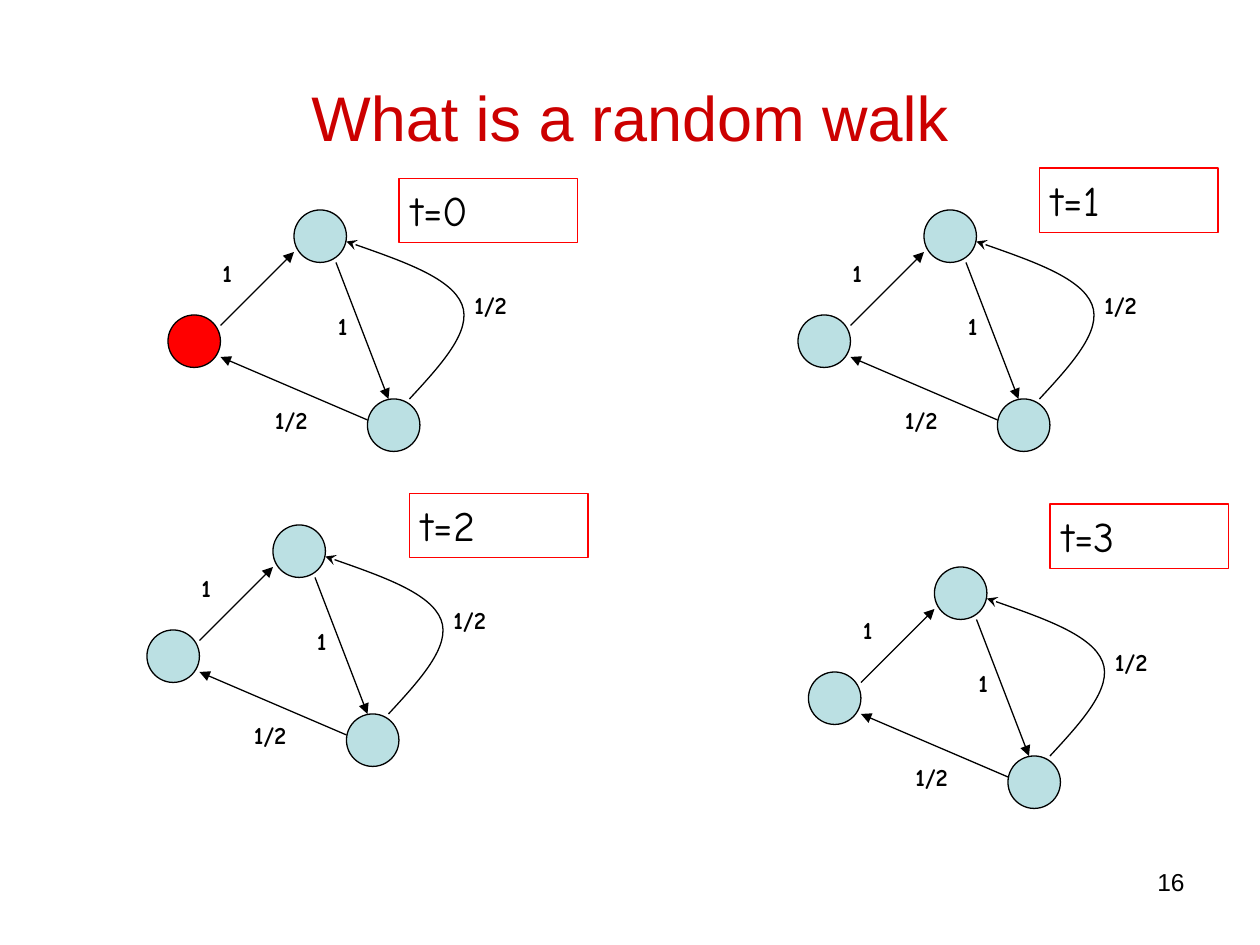
from typing import NamedTuple

from pptx import Presentation
from pptx.dml.color import RGBColor
from pptx.enum.shapes import MSO_CONNECTOR, MSO_SHAPE
from pptx.enum.text import MSO_ANCHOR, MSO_AUTO_SIZE, PP_ALIGN
from pptx.oxml.ns import qn
from pptx.oxml.xmlchemy import OxmlElement
from pptx.util import Pt

STRAIGHT = MSO_CONNECTOR.STRAIGHT
OVAL, RECT = MSO_SHAPE.OVAL, MSO_SHAPE.RECTANGLE
TOP, MIDDLE = MSO_ANCHOR.TOP, MSO_ANCHOR.MIDDLE
GROW = MSO_AUTO_SIZE.SHAPE_TO_FIT_TEXT
LEFT, CENTER, RIGHT = PP_ALIGN.LEFT, PP_ALIGN.CENTER, PP_ALIGN.RIGHT

COLORS = {
    "black": "000000",
    "title": "CC0000",
    "red": "FF0000",
    "node": "BBE0E3",
}
SANS, COMIC = "Arial", "Comic Neue"
LINE_WIDTH = 0.75
NODE_SIZE = 30


class Label(NamedTuple):
    text: str
    x: float
    y: float
    width: float


class Step(NamedTuple):
    caption: str
    graph: tuple[float, float]
    box: tuple[float, float]
    visited: int | None = None


NODES = [(0, 60), (72, 0), (114, 108)]
EDGES = [
    ((30, 66), (72, 24)),
    ((96, 30), (126, 108)),
    ((114, 120), (30, 84)),
]
CURVE = [(138, 108), (156, 88.5), (174, 69), (168, 54), (162, 39), (132, 28.5), (102, 18)]
LABELS = [
    Label("1", 24, 24, 30),
    Label("1/2", 54, 108, 48),
    Label("1/2", 168, 42, 48),
    Label("1", 90, 54, 30),
]
STEPS = [
    Step("t=0", (96, 120), (228, 102), visited=0),
    Step("t=1", (456, 120), (594, 96)),
    Step("t=2", (84, 300), (234, 282)),
    Step("t=3", (462, 324), (600, 288)),
]


def rgb(name: str) -> RGBColor:
    return RGBColor.from_string(COLORS[name])


def set_text(shape, text: str, size: float, font: str, color: str = "black",
             align=LEFT, anchor=TOP, bold: bool = False) -> None:
    tf = shape.text_frame
    tf.word_wrap = True
    tf.vertical_anchor = anchor
    p = tf.paragraphs[0]
    p.text = text
    p.alignment = align
    p.font.size = Pt(size)
    p.font.name = font
    p.font.bold = bold
    p.font.color.rgb = rgb(color)


def set_line(shape, color: str = "black", arrow: str | None = None) -> None:
    shape.line.color.rgb = rgb(color)
    shape.line.width = Pt(LINE_WIDTH)
    if arrow:
        tail = OxmlElement("a:tailEnd")
        tail.set("type", arrow)
        shape.element.spPr.find(qn("a:ln")).append(tail)


def add_node(shapes, x: float, y: float, color: str) -> None:
    sp = shapes.add_shape(OVAL, Pt(x), Pt(y), Pt(NODE_SIZE), Pt(NODE_SIZE))
    sp.shadow.inherit = False
    sp.fill.solid()
    sp.fill.fore_color.rgb = rgb(color)
    set_line(sp)


def add_edge(shapes, x1: float, y1: float, x2: float, y2: float) -> None:
    cxn = shapes.add_connector(STRAIGHT, Pt(x1), Pt(y1), Pt(x2), Pt(y2))
    set_line(cxn, arrow="triangle")
    cxn.element.spPr.append(OxmlElement("a:effectLst"))


def add_curve(shapes, points: list[tuple[float, float]]) -> None:
    start, *rest = [(Pt(x), Pt(y)) for x, y in points]
    builder = shapes.build_freeform(*start)
    builder.add_line_segments(rest, close=False)
    sp = builder.convert_to_shape()
    sp.shadow.inherit = False
    sp.fill.background()
    set_line(sp, arrow="stealth")
    outline = sp.element.spPr.find(".//" + qn("a:path"))
    segments = outline.findall(qn("a:lnTo"))
    for i in range(0, len(segments), 3):
        bezier = OxmlElement("a:cubicBezTo")
        for segment in segments[i:i + 3]:
            bezier.append(segment[0])
            outline.remove(segment)
        outline.append(bezier)


def add_label(shapes, label: Label, dx: float, dy: float) -> None:
    tb = shapes.add_textbox(Pt(label.x + dx), Pt(label.y + dy), Pt(label.width), Pt(24))
    set_text(tb, label.text, 14, COMIC, bold=True)
    tb.text_frame.auto_size = GROW


def add_graph(s, step: Step) -> None:
    shapes = s.shapes.add_group_shape().shapes
    dx, dy = step.graph
    for i, (x, y) in enumerate(NODES):
        add_node(shapes, x + dx, y + dy, "red" if i == step.visited else "node")
    for (x1, y1), (x2, y2) in EDGES:
        add_edge(shapes, x1 + dx, y1 + dy, x2 + dx, y2 + dy)
    add_curve(shapes, [(x + dx, y + dy) for x, y in CURVE])
    for label in LABELS:
        add_label(shapes, label, dx, dy)


def add_caption(s, step: Step) -> None:
    x, y = step.box
    sp = s.shapes.add_shape(RECT, Pt(x), Pt(y), Pt(102), Pt(36.7))
    sp.shadow.inherit = False
    sp.fill.background()
    set_line(sp, "red")
    set_text(sp, step.caption, 24, COMIC)
    sp.text_frame.auto_size = GROW


def main() -> None:
    prs = Presentation()
    prs.slide_width, prs.slide_height = Pt(720), Pt(540)
    s = prs.slides.add_slide(prs.slide_layouts[5])

    title = s.shapes.title
    title.left, title.top, title.width, title.height = Pt(36), Pt(21.6), Pt(648), Pt(90)
    set_text(title, "What is a random walk", 36, SANS, "title", CENTER, MIDDLE)

    number = s.shapes.add_textbox(Pt(516), Pt(492), Pt(168), Pt(37.5))
    set_text(number, "16", 14, SANS, align=RIGHT)

    for step in STEPS:
        add_graph(s, step)
        add_caption(s, step)

    prs.save("out.pptx")


if __name__ == "__main__":
    main()
